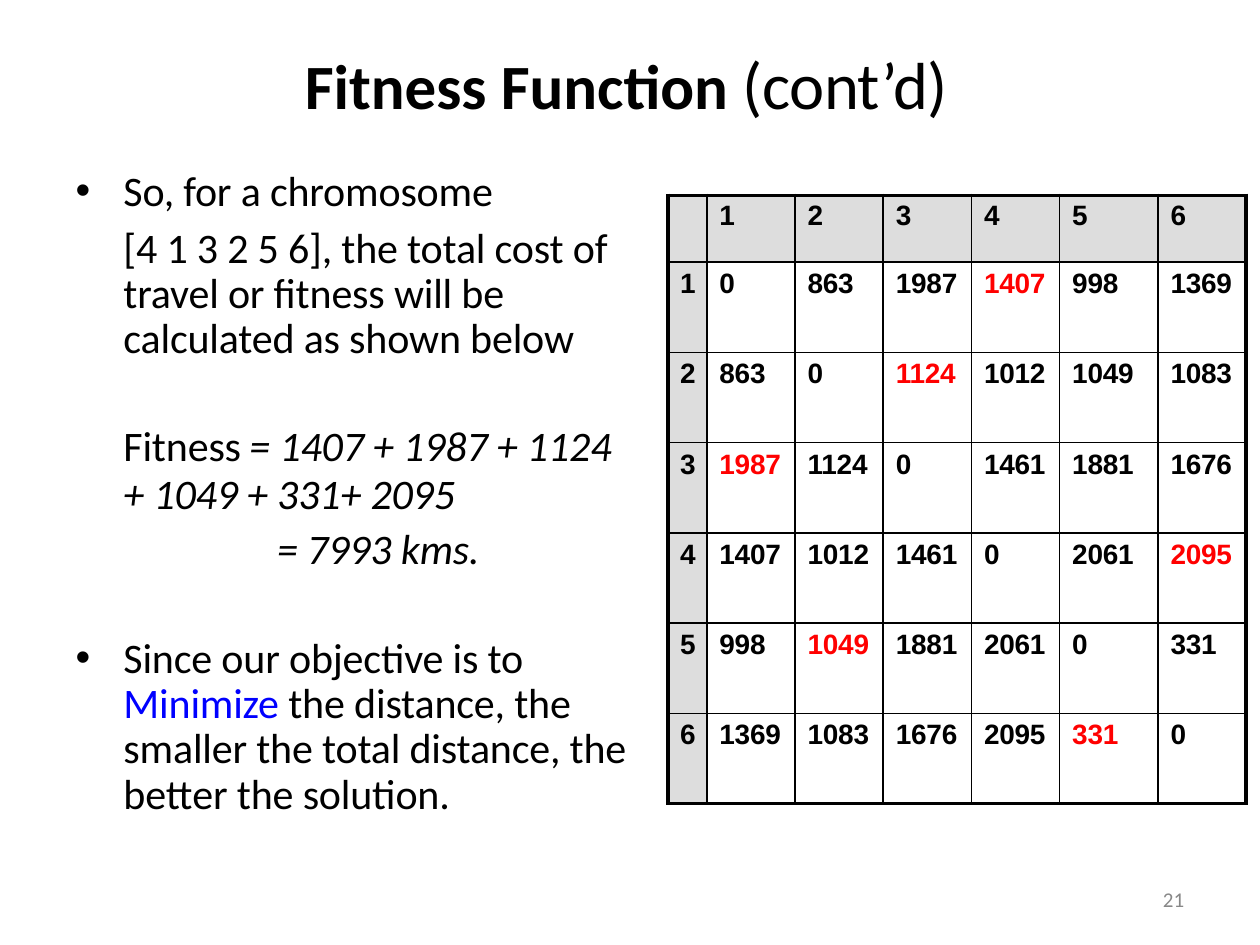
from dataclasses import dataclass

from lxml.etree import SubElement
from pptx import Presentation
from pptx.dml.color import RGBColor
from pptx.enum.text import MSO_ANCHOR, MSO_AUTO_SIZE, PP_ALIGN
from pptx.oxml.ns import qn
from pptx.slide import Slide
from pptx.table import _Cell
from pptx.text.text import TextFrame, _Paragraph
from pptx.util import Emu, Inches, Pt


@dataclass(frozen=True)
class Theme:
    ink: str = "000000"
    accent: str = "0000FF"
    leg: str = "FF0000"
    header: str = "DDDDDD"
    muted: str = "888888"
    text_font: str = "Calibri"
    table_font: str = "Arial"
    title_size: float = 36
    suffix_size: float = 38
    body_size: float = 24
    table_size: float = 16
    number_size: float = 12
    frame_line: float = 2.25
    inner_line: float = 1


@dataclass(frozen=True)
class Area:
    col: float
    row: float
    cols: float
    rows: float


@dataclass(frozen=True)
class Phrase:
    text: str
    size: float
    color: str
    font: str
    bold: bool = False
    italic: bool = False
    tracking: float = 0


@dataclass(frozen=True)
class Line:
    phrases: tuple[Phrase, ...]
    before: float
    indent: float = 0.39
    spacing: float | Pt | None = None
    bullet: bool = False
    tab: float | None = None


THEME = Theme()
WIDTH, HEIGHT = Inches(10), Inches(7.5)
COLUMNS, ROWS = 100, 75
TOUR = (4, 1, 3, 2, 5, 6)
DISTANCES = (
    (0, 863, 1987, 1407, 998, 1369),
    (863, 0, 1124, 1012, 1049, 1083),
    (1987, 1124, 0, 1461, 1881, 1676),
    (1407, 1012, 1461, 0, 2061, 2095),
    (998, 1049, 1881, 2061, 0, 331),
    (1369, 1083, 1676, 2095, 331, 0),
)


def place(area: Area) -> tuple[Emu, Emu, Emu, Emu]:
    """Turn grid units into left, top, width and height."""
    across, down = WIDTH / COLUMNS, HEIGHT / ROWS
    return (Emu(round(area.col * across)), Emu(round(area.row * down)),
            Emu(round(area.cols * across)), Emu(round(area.rows * down)))


def body(text: str, italic: bool = False, color: str = THEME.ink) -> Phrase:
    """Make a phrase in the style of the explanation."""
    return Phrase(text, THEME.body_size, color, THEME.text_font, italic=italic, tracking=-0.1)


def prepare(frame: TextFrame, top: float) -> None:
    """Set the insets, wrapping and anchor of a text frame."""
    frame.margin_left = frame.margin_right = frame.margin_bottom = 0
    frame.margin_top = Inches(top)
    frame.word_wrap = True
    frame.auto_size = MSO_AUTO_SIZE.NONE
    frame.vertical_anchor = MSO_ANCHOR.TOP


def write(paragraph: _Paragraph, phrases: tuple[Phrase, ...]) -> None:
    """Add formatted phrases to a paragraph."""
    for phrase in phrases:
        run = paragraph.add_run()
        run.text = phrase.text
        run.font.size = Pt(phrase.size)
        run.font.name = phrase.font
        run.font.bold = phrase.bold
        run.font.italic = phrase.italic
        run.font.color.rgb = RGBColor.from_string(phrase.color)
        run._r.get_or_add_rPr().set("spc", str(round(phrase.tracking * 100)))


def write_line(paragraph: _Paragraph, line: Line) -> None:
    """Write one paragraph with its indent, spacing, bullet and tab."""
    write(paragraph, line.phrases)
    paragraph.alignment = PP_ALIGN.LEFT
    paragraph.space_before = Pt(line.before)
    paragraph.line_spacing = line.spacing
    properties = paragraph._p.get_or_add_pPr()
    properties.set("marL", str(Inches(line.indent)))
    properties.set("indent", str(Inches(-0.38 if line.bullet else 0)))
    if line.bullet:
        SubElement(properties, qn("a:buFont"), typeface="Arial")
        SubElement(properties, qn("a:buChar"), char="•")
    else:
        SubElement(properties, qn("a:buNone"))
    if line.tab is not None:
        stops = SubElement(properties, qn("a:tabLst"))
        SubElement(stops, qn("a:tab"), pos=str(Inches(line.tab)), algn="l")


def write_lines(frame: TextFrame, top: float, lines: tuple[Line, ...]) -> None:
    """Fill a text frame with paragraphs."""
    prepare(frame, top)
    for index, line in enumerate(lines):
        write_line(frame.add_paragraph() if index else frame.paragraphs[0], line)


def add_text(slide: Slide, area: Area, top: float, lines: tuple[Line, ...]) -> None:
    """Add a text box at a grid area."""
    write_lines(slide.shapes.add_textbox(*place(area)).text_frame, top, lines)


def add_border(cell: _Cell, side: str, width: float) -> None:
    """Draw one solid border of a cell."""
    border = SubElement(cell._tc.get_or_add_tcPr(), qn(f"a:ln{side}"), w=str(Pt(width)))
    SubElement(SubElement(border, qn("a:solidFill")), qn("a:srgbClr"), val=THEME.ink)


def add_distances(slide: Slide, area: Area) -> None:
    """Add the distance table with the legs of the tour in red."""
    count = len(DISTANCES) + 1
    last = count - 1
    legs = set(zip(TOUR[1:] + TOUR[:1], TOUR))
    frame = slide.shapes.add_table(count, count, *place(area))
    table = frame.table
    table.first_row = table.horz_banding = False
    for column, width in zip(table.columns, (0.31, 0.7, 0.7, 0.7, 0.7, 0.78, 0.7)):
        column.width = Inches(width)
    header_height = Inches(0.53)
    row_height = Emu((frame.height - header_height) // last)
    for row in range(count):
        table.rows[row].height = row_height if row else header_height
        for col in range(count):
            cell = table.cell(row, col)
            edges = {"L": col == 0, "R": col == last, "T": row == 0, "B": row == last}
            for side, outer in edges.items():
                add_border(cell, side, THEME.frame_line if outer else THEME.inner_line)
            cell.margin_left = cell.margin_right = cell.margin_bottom = 0
            cell.margin_top = Inches(0.05 if row else 0.04)
            if row and col:
                cell.fill.background()
            else:
                cell.fill.solid()
                cell.fill.fore_color.rgb = RGBColor.from_string(THEME.header)
            if row or col:
                value = DISTANCES[row - 1][col - 1] if row and col else row or col
                color = THEME.leg if (row, col) in legs else THEME.ink
                entry = Phrase(str(value), THEME.table_size, color, THEME.table_font,
                               bold=True, tracking=-0.1 if value > 9 else 0)
                paragraph = cell.text_frame.paragraphs[0]
                write_line(paragraph, Line((entry,), 3.2, 0.1 if col else 0.01))
                if col == 0:
                    paragraph.alignment = PP_ALIGN.CENTER


def build() -> None:
    """Build and save the fitness function slide."""
    deck = Presentation()
    deck.slide_width, deck.slide_height = WIDTH, HEIGHT
    slide = deck.slides.add_slide(deck.slide_layouts[5])
    title = slide.shapes.title
    title.left, title.top, title.width, title.height = place(Area(24.1, 3.3, 52.5, 6.6))
    heading = (Phrase("Fitness Function ", THEME.title_size, THEME.ink, THEME.text_font, bold=True),
               Phrase("(cont’d)", THEME.suffix_size, THEME.ink, THEME.text_font, tracking=-0.3))
    write_lines(title.text_frame, 0.01, (Line(heading, 1, 0.01),))
    add_text(slide, Area(5.9, 12.6, 44.6, 52.7), 0.05, (
        Line((body("So, for a chromosome"),), 3.9, bullet=True),
        Line((body("[4 1 3 2 5 6], the total cost of travel or fitness will be "
                   "calculated as shown below"),), 6.2, spacing=Pt(25.9)),
        Line((body("Fitness\t"), body("= 1407 + 1987 + 1124", True)), 34,
             spacing=Pt(27.4), tab=1.55),
        Line((body("+ 1049 + 331+ 2095", True),), 0, spacing=Pt(27.4)),
        Line((body("= 7993 kms.", True),), 2.9, indent=1.61),
        Line((body("Since our objective is to "), body("Minimize ", color=THEME.accent),
              body("the distance, the smaller the total distance, the better the solution.")),
             36.5, spacing=0.9, bullet=True),
    ))
    add_distances(slide, Area(53, 15.5, 46.1, 48.3))
    number = Phrase("21", THEME.number_size, THEME.muted, THEME.text_font)
    add_text(slide, Area(92.2, 70.3, 2, 2.3), 0.01, (Line((number,), 1, 0.01),))
    deck.save("out.pptx")


build()
